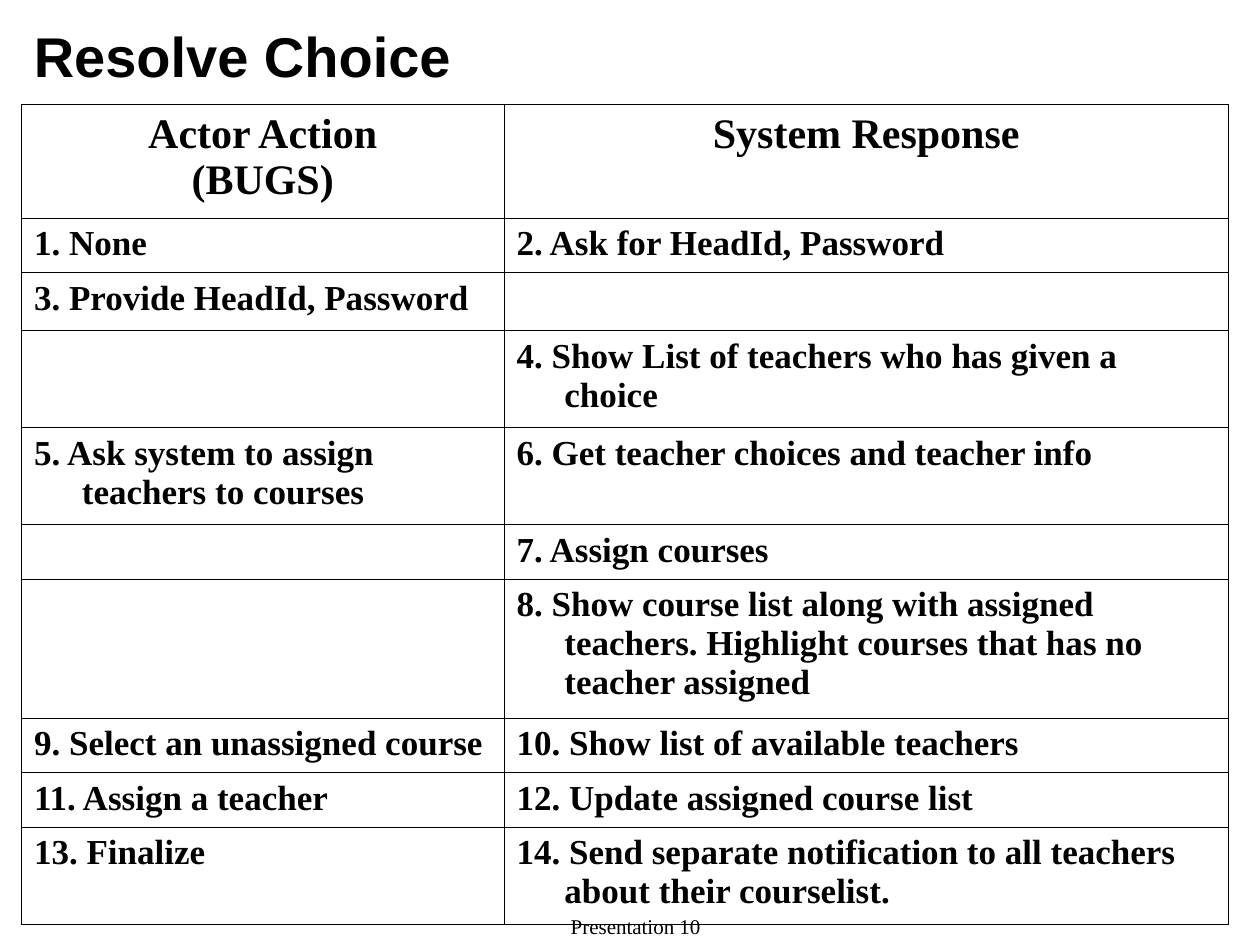
from lxml.etree import SubElement
from pptx import Presentation
from pptx.dml.color import RGBColor
from pptx.enum.text import MSO_ANCHOR as Anchor, PP_ALIGN as Align
from pptx.oxml.ns import qn
from pptx.util import Inches, Pt

BLACK = RGBColor(0x00, 0x00, 0x00)
SANS, SERIF = "Arial", "Times New Roman"
HANGING = Inches(0.38)
BORDER_WIDTH = Pt(0.45)

COLUMN_WIDTHS = [3.83, 5.75]
ROW_HEIGHTS = [0.9, 0.43, 0.46, 0.77, 0.77, 0.43, 1.1, 0.43, 0.43, 0.77]
HEADINGS = [["Actor Action", "(BUGS)"], ["System Response"]]
STEPS = [
    ("1. None", "2. Ask for HeadId, Password"),
    ("3. Provide HeadId, Password", ""),
    ("", "4. Show List of teachers who has given a choice"),
    ("5. Ask system to assign teachers to courses",
     "6. Get teacher choices and teacher info"),
    ("", "7. Assign courses"),
    ("", "8. Show course list along with assigned teachers. "
         "Highlight courses that has no teacher assigned"),
    ("9. Select an unassigned course", "10. Show list of available teachers"),
    ("11. Assign a teacher", "12. Update assigned course list"),
    ("13. Finalize",
     "14. Send separate notification to all teachers about their courselist."),
]


def add_run(paragraph, text, font_name, size, bold):
    run = paragraph.add_run()
    run.text = text
    font = run.font
    font.name, font.size, font.bold = font_name, Pt(size), bold
    font.color.rgb = BLACK


def add_label(slide, box, text, font_name, size, bold, align, anchor):
    frame = slide.shapes.add_textbox(*map(Inches, box)).text_frame
    frame.word_wrap = True
    frame.vertical_anchor = anchor
    frame.paragraphs[0].alignment = align
    add_run(frame.paragraphs[0], text, font_name, size, bold)


def style_cell(cell):
    """Give the cell thin black borders and no fill."""
    properties = cell._tc.get_or_add_tcPr()
    for side in ("a:lnL", "a:lnR", "a:lnT", "a:lnB"):
        line = SubElement(properties, qn(side), w=str(BORDER_WIDTH))
        fill = SubElement(line, qn("a:solidFill"))
        SubElement(fill, qn("a:srgbClr"), val=str(BLACK))
    cell.fill.background()


def fill_cell(cell, lines, size, align):
    """Write each line as a bold paragraph with a hanging indent."""
    frame = cell.text_frame
    for index, text in enumerate(lines):
        paragraph = frame.add_paragraph() if index else frame.paragraphs[0]
        paragraph.alignment = align
        properties = paragraph._p.get_or_add_pPr()
        properties.set("marL", str(HANGING))
        properties.set("indent", str(-HANGING))
        add_run(paragraph, text, SERIF, size, True)


def add_use_case_table(slide, box):
    table = slide.shapes.add_table(
        len(ROW_HEIGHTS), len(COLUMN_WIDTHS), *map(Inches, box)).table
    table.first_row = table.horz_banding = False
    for column, width in zip(table.columns, COLUMN_WIDTHS):
        column.width = Inches(width)
    for row, height in zip(table.rows, ROW_HEIGHTS):
        row.height = Inches(height)
    for cell in table.iter_cells():
        style_cell(cell)
    for cell, lines in zip(table.rows[0].cells, HEADINGS):
        fill_cell(cell, lines, 24, Align.CENTER)
    for row_index, step in enumerate(STEPS, start=1):
        for cell, text in zip(table.rows[row_index].cells, step):
            if text:
                fill_cell(cell, [text], 20, Align.LEFT)


def main():
    deck = Presentation()
    deck.slide_width, deck.slide_height = Inches(10), Inches(7.5)
    slide = deck.slides.add_slide(deck.slide_layouts[6])
    add_label(slide, (3.42, 7.25, 3.25, 0.25), "Presentation 10",
              SERIF, 12, False, Align.CENTER, Anchor.BOTTOM)
    add_label(slide, (0.17, 0.17, 9, 0.53), "Resolve Choice",
              SANS, 32, True, Align.LEFT, Anchor.MIDDLE)
    add_use_case_table(slide, (0.17, 0.83, 9.58, 6.5))
    deck.save("out.pptx")


if __name__ == "__main__":
    main()
